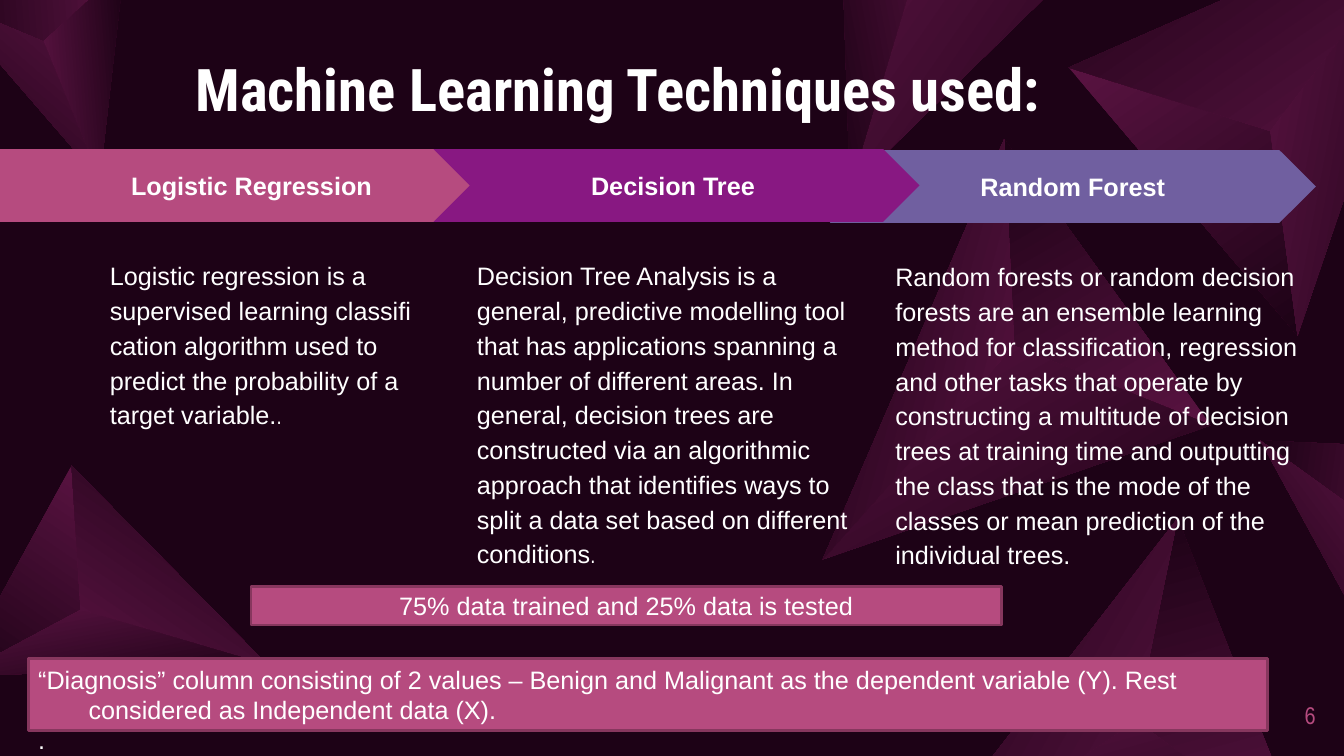
from lxml.etree import SubElement
from pptx import Presentation
from pptx.dml.color import RGBColor
from pptx.enum.shapes import MSO_SHAPE
from pptx.enum.text import MSO_ANCHOR, MSO_AUTO_SIZE, PP_ALIGN
from pptx.oxml.ns import qn
from pptx.util import Inches, Pt

WIDE, HIGH = 13.33, 7.5

DARK = RGBColor(0x1D, 0x02, 0x16)
PLUM = RGBColor(0x59, 0x13, 0x41)
PINK = RGBColor(0xB6, 0x4B, 0x7F)
EDGE = RGBColor(0x87, 0x37, 0x5E)
PURPLE = RGBColor(0x88, 0x18, 0x82)
BLUE = RGBColor(0x70, 0x5F, 0xA0)
WHITE = RGBColor(0xFF, 0xFF, 0xFF)

# Text formats
BODY = {"name": "Arial", "size": Pt(18), "bold": False}
HEAD = {**BODY, "bold": True}
DOT = {**BODY, "name": "Arial Narrow", "size": Pt(16)}
TITLE = {"name": "Roboto Condensed", "size": Pt(42), "bold": True}
PAGE = {"name": "Arial Narrow", "size": Pt(17.3), "bold": False}

# Pyramids: turn, then three outer corners and the peak
PYRAMIDS = [
    (100.5, (12.87, 3.33), (10.6, 0.67), (14.33, -0.97), (12.6, 1.3)),
    (169.6, (-0.43, 6.71), (0.71, 4.62), (2.66, 6.6), (0.8, 6.05)),
    (285.1, (9.96, 1.38), (12.01, 4.22), (8.16, 5.55), (10.06, 3.43)),
    (299.6, (11.68, 5.14), (12.96, 8.4), (8.89, 8.73), (11.27, 7.15)),
    (233.2, (12.5, 4.37), (14.31, 4.45), (13.62, 6.43), (13.36, 4.99)),
    (259.7, (8.28, -2.67), (11.34, -0.98), (8.43, 1.87), (9.25, -0.86)),
    (220.8, (-0.55, 0), (1.23, -0.31), (0.99, 1.78), (0.43, 0.41)),
]

# Methods: preset, arrow left, top, width, colour, heading,
# text left, text width, text, closing dot
METHODS = [
    (MSO_SHAPE.CHEVRON, 8.23, 1.49, 4.82, BLUE, "Random Forest", 8.75, 4.31,
     "Random forests or random decision forests are an ensemble learning "
     "method for classification, regression and other tasks that operate by "
     "constructing a multitude of decision trees at training time and "
     "outputting the class that is the mode of the classes or mean "
     "prediction of the individual trees.", ""),
    (MSO_SHAPE.PENTAGON, 0, 1.48, 5.17, PINK, "Logistic Regression", 0.96, 3.26,
     "Logistic regression\u00a0is a supervised\u00a0learning\u00a0"
     "classification algorithm used to predict the probability of a target "
     "variable.", "."),
    (MSO_SHAPE.CHEVRON, 4.3, 1.48, 4.82, PURPLE, "Decision Tree ", 4.6, 4.13,
     "Decision Tree Analysis is a general, predictive modelling tool that "
     "has applications spanning a number of different areas. In general, "
     "decision trees are constructed via an algorithmic approach that "
     "identifies ways to split a data set based on different conditions", "."),
]


def style(item, form):
    for key, value in form.items():
        setattr(item, key, value)


def frame(shape, pad, anchor):
    """Set up the text frame; pad is the side and the top inset."""
    side, top = map(Inches, pad)
    text = shape.text_frame
    style(text, {"word_wrap": True, "auto_size": MSO_AUTO_SIZE.NONE,
                 "margin_left": side, "margin_right": side,
                 "margin_top": top, "margin_bottom": top,
                 "vertical_anchor": anchor})
    return text


def write(para, words, form, color=WHITE, **layout):
    run = para.add_run()
    run.text = words
    style(run.font, form)
    run.font.color.rgb = color
    style(para, layout)


def face(slide, points, angle):
    """Draw one shaded pyramid side; angle runs clockwise."""
    spots = [(Inches(x), Inches(y)) for x, y in points]
    pen = slide.shapes.build_freeform(*spots[0])
    pen.add_line_segments(spots[1:], close=True)
    shape = pen.convert_to_shape()
    shape.shadow.inherit = False
    shape.line.fill.background()
    shape.fill.gradient()
    shape.fill.gradient_angle = -angle % 360
    for stop, color in zip(shape.fill.gradient_stops, (PLUM, DARK)):
        stop.color.rgb = color


def shows(points):
    across, down = zip(*points)
    return min(across) < WIDE and max(down) > 0


def pyramid(slide, turn, first, second, third, peak):
    sides = [((first, second, peak), 315), ((second, third, peak), 135),
             ((first, peak, third), 270)]
    for points, angle in sides:
        if shows(points):
            face(slide, points, angle + turn)


def block(slide, kind, place, color, edge=None):
    shape = slide.shapes.add_shape(kind, *map(Inches, place))
    shape.shadow.inherit = False
    shape.fill.solid()
    shape.fill.fore_color.rgb = color
    if edge:
        shape.line.color.rgb = edge
        shape.line.width = Pt(2)
    else:
        shape.line.fill.background()
    return shape


def label(slide, place, pad, anchor):
    box = slide.shapes.add_textbox(*map(Inches, place))
    return frame(box, pad, anchor)


def method(slide, kind, left, top, width, color, head, start, span, body, dot):
    pad = (0.13, 0.13)
    arrow = block(slide, kind, (left, top, width, 0.72), color)
    text = frame(arrow, pad, MSO_ANCHOR.MIDDLE)
    write(text.paragraphs[0], head, HEAD, alignment=PP_ALIGN.CENTER)
    text = label(slide, (start, top + 0.93, span, 2.81), pad, MSO_ANCHOR.TOP)
    para = text.paragraphs[0]
    write(para, body, BODY, line_spacing=1.15)
    if dot:
        write(para, dot, DOT)


def hang(para, size):
    props = para._p.get_or_add_pPr()
    props.set("marL", str(Inches(size)))
    props.set("indent", str(-Inches(size)))
    SubElement(props, qn("a:buNone"))


def main():
    deck = Presentation()
    deck.slide_width, deck.slide_height = Inches(WIDE), Inches(HIGH)
    slide = deck.slides.add_slide(deck.slide_layouts[5])
    slide.background.fill.solid()
    slide.background.fill.fore_color.rgb = DARK

    # Backdrop
    for parts in PYRAMIDS:
        pyramid(slide, *parts)

    # Title, brought in front of the backdrop
    title = slide.shapes.title
    style(title, {"left": Inches(1.94), "top": Inches(0.36),
                  "width": Inches(9.44), "height": Inches(0.87)})
    text = frame(title, (0, 0), MSO_ANCHOR.BOTTOM)
    write(text.paragraphs[0], "Machine Learning Techniques used:", TITLE,
          alignment=PP_ALIGN.LEFT, line_spacing=0.9)
    slide.shapes._spTree.append(title._element)

    # Page number
    text = label(slide, (12.47, 6.81, 0.58, 0.57), (0, 0), MSO_ANCHOR.MIDDLE)
    write(text.paragraphs[0], "6", PAGE, PINK, alignment=PP_ALIGN.RIGHT)

    # Methods
    for parts in METHODS:
        method(slide, *parts)

    # Data split
    split = block(slide, MSO_SHAPE.RECTANGLE, (2.49, 5.82, 7.44, 0.38), PINK, EDGE)
    text = frame(split, (0.1, 0.05), MSO_ANCHOR.MIDDLE)
    write(text.paragraphs[0], "75% data trained and 25% data is tested", BODY,
          alignment=PP_ALIGN.CENTER)

    # Variables
    note = block(slide, MSO_SHAPE.RECTANGLE, (0.28, 6.53, 12.29, 0.72), PINK, EDGE)
    text = frame(note, (0.1, 0.06), MSO_ANCHOR.TOP)
    lines = ["\u201cDiagnosis\u201d column consisting of 2 values \u2013 Benign "
             "and Malignant as the dependent variable (Y). Rest considered as "
             "Independent data (X).", "."]
    for para, words in zip((text.paragraphs[0], text.add_paragraph()), lines):
        write(para, words, BODY, alignment=PP_ALIGN.LEFT)
        hang(para, 0.5)

    deck.save("out.pptx")


main()
